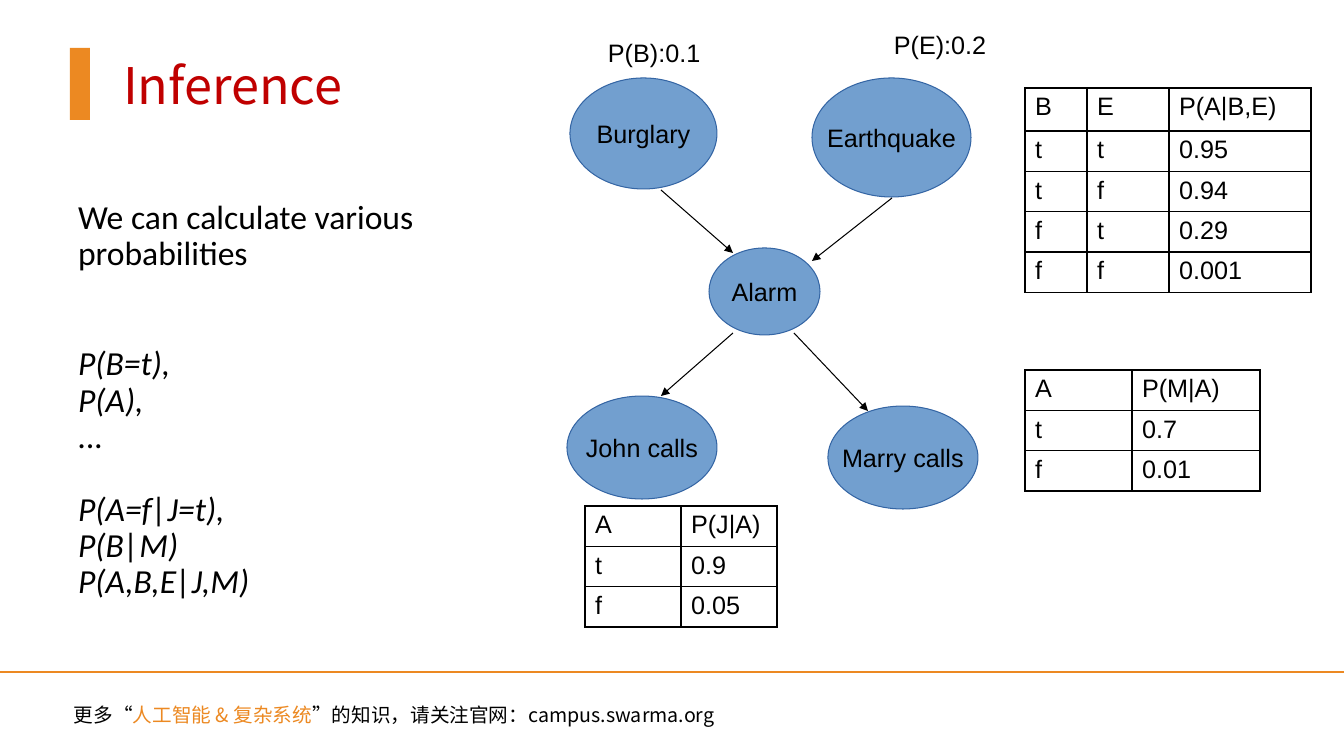
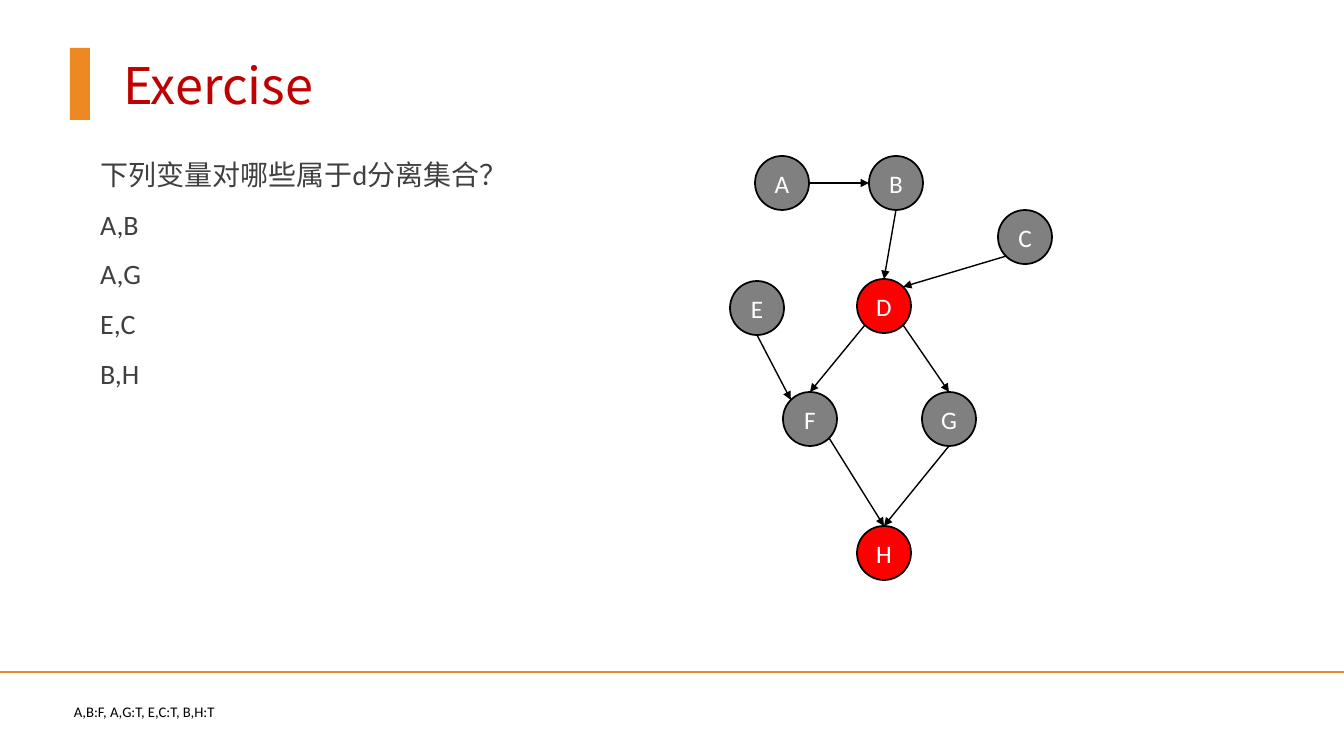
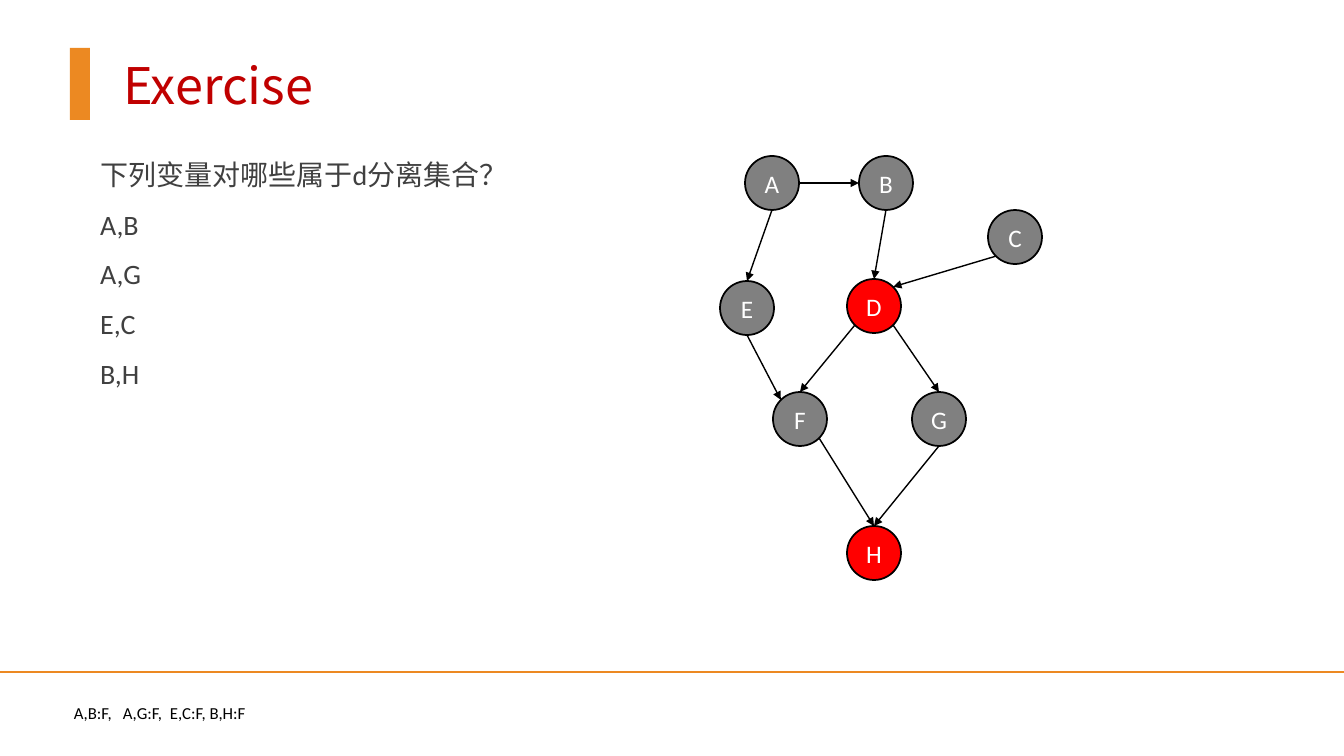
import pptx
import pptx.util
import pptx.dml.color
import pptx.enum.shapes
import pptx.enum.text
import pptx.oxml.ns
from lxml import etree

RGB = pptx.dml.color.RGBColor
SHAPE = pptx.enum.shapes.MSO_SHAPE
ALIGN = pptx.enum.text.PP_ALIGN
ANCHOR = pptx.enum.text.MSO_ANCHOR
Pt = pptx.util.Pt
qn = pptx.oxml.ns.qn

WIDE, HIGH = 1344, 756
SCALE = 12192000 / WIDE

BLACK = RGB(0x00, 0x00, 0x00)
WHITE = RGB(0xFF, 0xFF, 0xFF)
ORANGE = RGB(0xEC, 0x89, 0x22)
CRIMSON = RGB(0xC0, 0x00, 0x00)
DARK = RGB(0x40, 0x40, 0x40)
GRAY = RGB(0x80, 0x80, 0x80)
RED = RGB(0xFF, 0x00, 0x00)
BLUE = RGB(0x72, 0x9F, 0xCF)
NAVY = RGB(0x34, 0x65, 0xA4)

SANS, LATIN, ARIAL = "Noto Sans CJK SC", "Calibri", "Arial"

NODE = 54
NODES = {
    "A": (755, 156), "B": (869, 156), "C": (998, 210), "D": (857, 279),
    "E": (730, 281), "F": (783, 392), "G": (922, 392), "H": (857, 526),
}
SEEN = "DH"
EDGES = [
    ("A", "right", "B", "left"), ("B", "low", "D", "top"),
    ("C", "lowleft", "D", "topright"), ("D", "lowright", "G", "top"),
    ("D", "lowleft", "F", "top"), ("F", "lowright", "H", "top"),
    ("G", "low", "H", "top"), ("E", "low", "F", "topleft"),
]
DIAG = 0.71
SITES = {
    "top": (0, -1), "low": (0, 1), "left": (-1, 0), "right": (1, 0),
    "topleft": (-DIAG, -DIAG), "topright": (DIAG, -DIAG),
    "lowleft": (-DIAG, DIAG), "lowright": (DIAG, DIAG),
}


def px(num):
    return pptx.util.Emu(round(num * SCALE))


def write(frame, lines, size=18, font=ARIAL, color=BLACK, align=ALIGN.LEFT,
          space=1.0, gap=0, gaps=None, tabs=(), plain=False):
    """Fill a frame; a line is a string or a list of (text, changes) runs."""
    for num, line in enumerate(lines):
        para = frame.paragraphs[0] if num == 0 else frame.add_paragraph()
        props = para._p.get_or_add_pPr()
        if plain:
            props.set("marL", "0")
            props.set("indent", "0")
            etree.SubElement(props, qn("a:buNone"))
        if tabs:
            stops = etree.SubElement(props, qn("a:tabLst"))
            for tab in tabs:
                etree.SubElement(stops, qn("a:tab"), pos=str(px(tab)), algn="l")
        para.alignment = align
        para.line_spacing = space
        para.space_before = Pt((gaps or {}).get(num, gap) if num else 0)
        para.space_after = Pt(0)
        for text, more in [(line, {})] if isinstance(line, str) else line:
            run = para.add_run()
            run.text = text
            run.font.size = Pt(size)
            run.font.name = font
            run.font.color.rgb = more.get("color", color)
            if more.get("italic"):
                run.font.italic = True
            etree.SubElement(run._r.get_or_add_rPr(), qn("a:ea"), typeface=SANS)


class Deck:
    def __init__(self):
        self.file = pptx.Presentation()
        self.file.slide_width, self.file.slide_height = px(WIDE), px(HIGH)
        self.slide = None

    def page(self, title, foot, **form):
        """Start a slide with its title, band, rule and footer."""
        self.slide = self.file.slides.add_slide(self.file.slide_layouts[1])
        self.fill(self.slide.shapes.title, (113, 48, 1161, 72), [title],
                  ANCHOR.MIDDLE, size=36, font=SANS, color=CRIMSON)
        self.shape(SHAPE.RECTANGLE, (70, 48, 20, 72), ORANGE)
        self.line((0, 672), (WIDE, 672), ORANGE, 1)
        self.label((64, 698, 791, 34), foot, **form)

    def fill(self, holder, box, lines, anchor, **form):
        holder.left, holder.top, holder.width, holder.height = map(px, box)
        frame = holder.text_frame
        frame.auto_size = pptx.enum.text.MSO_AUTO_SIZE.NONE
        frame.word_wrap = True
        frame.vertical_anchor = anchor
        write(frame, lines, **form)

    def body(self, box, lines, anchor=ANCHOR.TOP, **form):
        self.fill(self.slide.placeholders[1], box, lines, anchor,
                  font=LATIN, space=0.9, plain=True, **form)

    def label(self, box, line, **form):
        text = self.slide.shapes.add_textbox(*map(px, box))
        text.text_frame.word_wrap = True
        write(text.text_frame, [line], **form)

    def shape(self, kind, box, fill, edge=None, width=1):
        item = self.slide.shapes.add_shape(kind, *map(px, box))
        item.shadow.inherit = False
        item.fill.solid()
        item.fill.fore_color.rgb = fill
        if edge is None:
            item.line.fill.background()
        else:
            item.line.color.rgb = edge
            item.line.width = Pt(width)
        return item

    def node(self, name, box, fill, edge, width, **form):
        item = self.shape(SHAPE.OVAL, box, fill, edge, width)
        frame = item.text_frame
        frame.word_wrap = False
        frame.vertical_anchor = ANCHOR.MIDDLE
        frame.margin_left = frame.margin_right = 0
        write(frame, [name], align=ALIGN.CENTER, **form)

    def line(self, start, end, color=BLACK, width=1, arrow=False):
        item = self.slide.shapes.add_connector(
            pptx.enum.shapes.MSO_CONNECTOR.STRAIGHT, *map(px, start + end))
        item.line.color.rgb = color
        item.line.width = Pt(width)
        if arrow:
            etree.SubElement(item.line._get_or_add_ln(), qn("a:tailEnd"),
                             type="triangle")
        etree.SubElement(item._element.spPr, qn("a:effectLst"))

    def table(self, spot, cols, rows, data):
        box = spot + (sum(cols), sum(rows))
        grid = self.slide.shapes.add_table(
            len(rows), len(cols), *map(px, box)).table
        grid.first_row = grid.horz_banding = False
        for col, width in zip(grid.columns, cols):
            col.width = px(width)
        for row, high, texts in zip(grid.rows, rows, data):
            row.height = px(high)
            for cell, text in zip(row.cells, texts):
                self.border(cell)
                cell.fill.background()
                write(cell.text_frame, [text])

    def border(self, cell):
        props = cell._tc.get_or_add_tcPr()
        for side in "LRTB":
            line = etree.SubElement(props, qn("a:ln" + side), w=str(Pt(1)))
            paint = etree.SubElement(line, qn("a:solidFill"))
            etree.SubElement(paint, qn("a:srgbClr"), val=str(BLACK))

    def graph(self, shift, edges):
        """Draw the lettered graph, moved sideways by shift."""
        def site(name, side):
            left, top = NODES[name]
            across, down = SITES[side]
            half = NODE / 2
            return (left + shift + half * (1 + across), top + half * (1 + down))

        for name, (left, top) in NODES.items():
            self.node(name, (left + shift, top, NODE, NODE),
                      RED if name in SEEN else GRAY, BLACK, 1.25,
                      font=LATIN, color=WHITE)
        for tail, out, head, into in edges:
            self.line(site(tail, out), site(head, into), arrow=True)


def infer(deck):
    deck.page("Inference", [
        ("更多“", {}), ("人工智能 & 复杂系统", {"color": ORANGE}),
        ("”的知识，请关注官网：campus.swarma.org", {})], size=14, font=SANS)
    terms = ["P(B=t),", "P(A),", "...", "P(A=f|J=t),", "P(B|M)", "P(A,B,E|J,M)"]
    deck.body((68, 165, 395, 471),
              ["We can calculate various probabilities"]
              + [[(term, {"italic": True})] for term in terms],
              ANCHOR.MIDDLE, size=24, gaps={1: 53, 4: 26})
    for name, box in [
        ("Burglary", (570, 78, 147, 111)),
        ("Earthquake", (812, 78, 159, 119)),
        ("Alarm", (709, 248, 111, 87)),
        ("John calls", (567, 396, 150, 103)),
        ("Marry calls", (828, 406, 150, 103)),
    ]:
        deck.node(name, box, BLUE, NAVY, 0.75)
    for start, end in [
        ((661, 190), (733, 253)), ((892, 198), (812, 261)),
        ((733, 333), (661, 396)), ((794, 333), (868, 411)),
    ]:
        deck.line(start, end, width=0.75, arrow=True)
    deck.label((598, 32, 166, 38), "P(B):0.1")
    deck.label((884, 24, 166, 38), "P(E):0.2")
    deck.table((1025, 88), (62, 82, 142), (43, 40, 40, 40, 40), [
        ("B", "E", "P(A|B,E)"), ("t", "t", "0.95"), ("t", "f", "0.94"),
        ("f", "t", "0.29"), ("f", "f", "0.001")])
    deck.table((585, 506), (96, 96), (40, 40, 40),
               [("A", "P(J|A)"), ("t", "0.9"), ("f", "0.05")])
    deck.table((1025, 370), (107, 128), (40, 40, 40),
               [("A", "P(M|A)"), ("t", "0.7"), ("f", "0.01")])


def quiz(deck, shift, edges, foot, **form):
    deck.page("Exercise", foot, font=LATIN, **form)
    deck.body((90, 156, 494, 480),
              ["下列变量对哪些属于d分离集合？", "A,B", "A,G", "E,C", "B,H"],
              size=20, color=DARK, gap=14)
    deck.graph(shift, edges)


def main():
    deck = Deck()
    infer(deck)
    quiz(deck, 0, EDGES, "A,B:F, A,G:T, E,C:T, B,H:T", size=10.5)
    quiz(deck, -10, EDGES + [("A", "low", "E", "top")],
         "A,B:F,\tA,G:F,\tE,C:F, B,H:F", size=12, tabs=(49, 96))
    deck.file.save("out.pptx")


if __name__ == "__main__":
    main()
